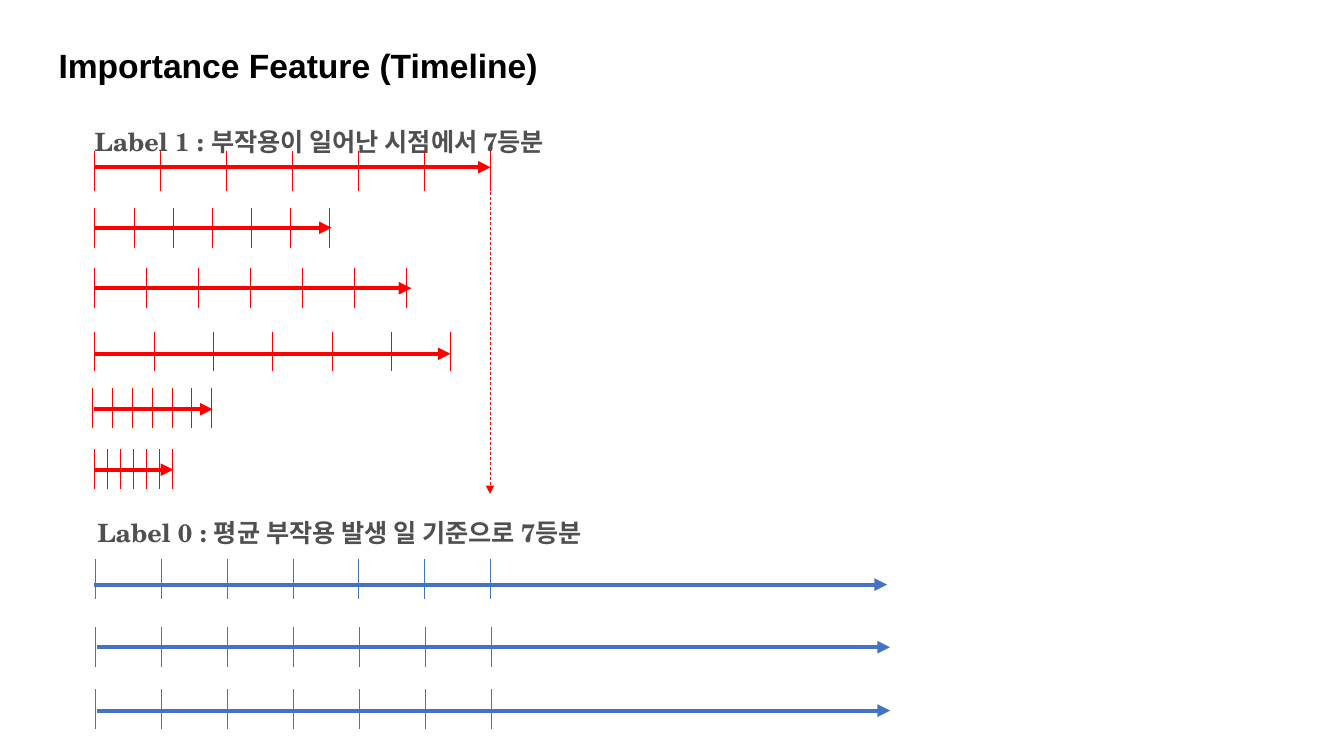
from lxml import etree
from pptx import Presentation
from pptx.dml.color import RGBColor
from pptx.enum.dml import MSO_LINE
from pptx.enum.shapes import MSO_CONNECTOR
from pptx.enum.text import MSO_ANCHOR, MSO_AUTO_SIZE, PP_ALIGN
from pptx.oxml.ns import qn
from pptx.util import Pt

STRAIGHT = MSO_CONNECTOR.STRAIGHT
DASH = MSO_LINE.DASH
MIDDLE = MSO_ANCHOR.MIDDLE
LEFT = PP_ALIGN.LEFT
FIXED, GROW = MSO_AUTO_SIZE.NONE, MSO_AUTO_SIZE.SHAPE_TO_FIT_TEXT

COLORS = {"title": "000000", "label": "505050", "event": "FF0000", "control": "4472C4"}
PARTS = 7
TICK_HEIGHT = 28.4

# colour, axis y, axis start, axis end, first tick, last tick, tick top
TIMELINES = [
    ("event", 119.5, 67, 350.5, 67.7, 350.6, 108),
    ("event", 162.7, 67, 236.9, 67.7, 235.4, 148.4),
    ("event", 205.9, 67, 293.8, 67.7, 290.2, 191.6),
    ("event", 252.7, 67, 321.8, 67.7, 321.8, 236.9),
    ("event", 292.3, 67, 151.9, 66.3, 151.2, 277.4),
    ("event", 335.5, 67, 123.8, 67.7, 123.1, 321),
    ("control", 417.6, 67, 633.6, 68.4, 350, 399.5),
    ("control", 462.3, 69, 635.8, 68.4, 350.7, 447.7),
    ("control", 507.6, 69, 635.8, 68.4, 351.3, 492.4),
]


class TimelineSlide:
    def __init__(self, slide):
        self.slide = slide

    def color(self, name):
        return RGBColor.from_string(COLORS[name])

    def style(self, paragraph, font_name, size, color):
        font = paragraph.font
        font.name, font.size, font.bold = font_name, Pt(size), True
        font.color.rgb = self.color(color)

    def title(self, text, left, top, width, height):
        shape = self.slide.shapes.title
        shape.left, shape.top, shape.width, shape.height = map(Pt, (left, top, width, height))
        frame = shape.text_frame
        frame.text = text
        frame.auto_size, frame.vertical_anchor = FIXED, MIDDLE
        paragraph = frame.paragraphs[0]
        paragraph.alignment, paragraph.line_spacing = LEFT, 0.9
        self.style(paragraph, "Arial", 24, "title")

    def label(self, text, left, top):
        shape = self.slide.shapes.add_textbox(Pt(left), Pt(top), Pt(480), Pt(29))
        frame = shape.text_frame
        frame.word_wrap, frame.auto_size = True, GROW
        frame.text = text
        self.style(frame.paragraphs[0], "TeX Gyre Schola", 18, "label")

    def line(self, x1, y1, x2, y2, color, width=0.5, arrow=False, dash=None):
        connector = self.slide.shapes.add_connector(STRAIGHT, Pt(x1), Pt(y1), Pt(x2), Pt(y2))
        line = connector.line
        line.color.rgb, line.width = self.color(color), Pt(width)
        if dash:
            line.dash_style = dash
        properties = connector._element.spPr
        if arrow:
            etree.SubElement(properties.find(qn("a:ln")), qn("a:tailEnd"), type="triangle")
        etree.SubElement(properties, qn("a:effectLst"))

    def timeline(self, color, y, start, end, first, last, top):
        self.line(start, y, end, y, color, width=3, arrow=True)
        for index in range(PARTS):
            x = first + (last - first) * index / (PARTS - 1)
            self.line(x, top, x, top + TICK_HEIGHT, color)


def main():
    presentation = Presentation()
    presentation.slide_width, presentation.slide_height = Pt(960), Pt(540)
    title_only = presentation.slide_layouts[5]
    page = TimelineSlide(presentation.slides.add_slide(title_only))

    # Heading and group labels
    page.title("Importance Feature (Timeline)", 34.6, 28.8, 888.5, 39.6)
    page.label("Label 1 : 부작용이 일어난 시점에서 7등분", 60.5, 86.4)
    page.label("Label 0 : 평균 부작용 발생 일 기준으로 7등분", 62.6, 365.8)

    # Divided timelines
    for timeline in TIMELINES:
        page.timeline(*timeline)

    # Reference line down to the second group
    page.line(350, 112.3, 350, 352.8, "event", arrow=True, dash=DASH)

    presentation.save("out.pptx")


if __name__ == "__main__":
    main()
